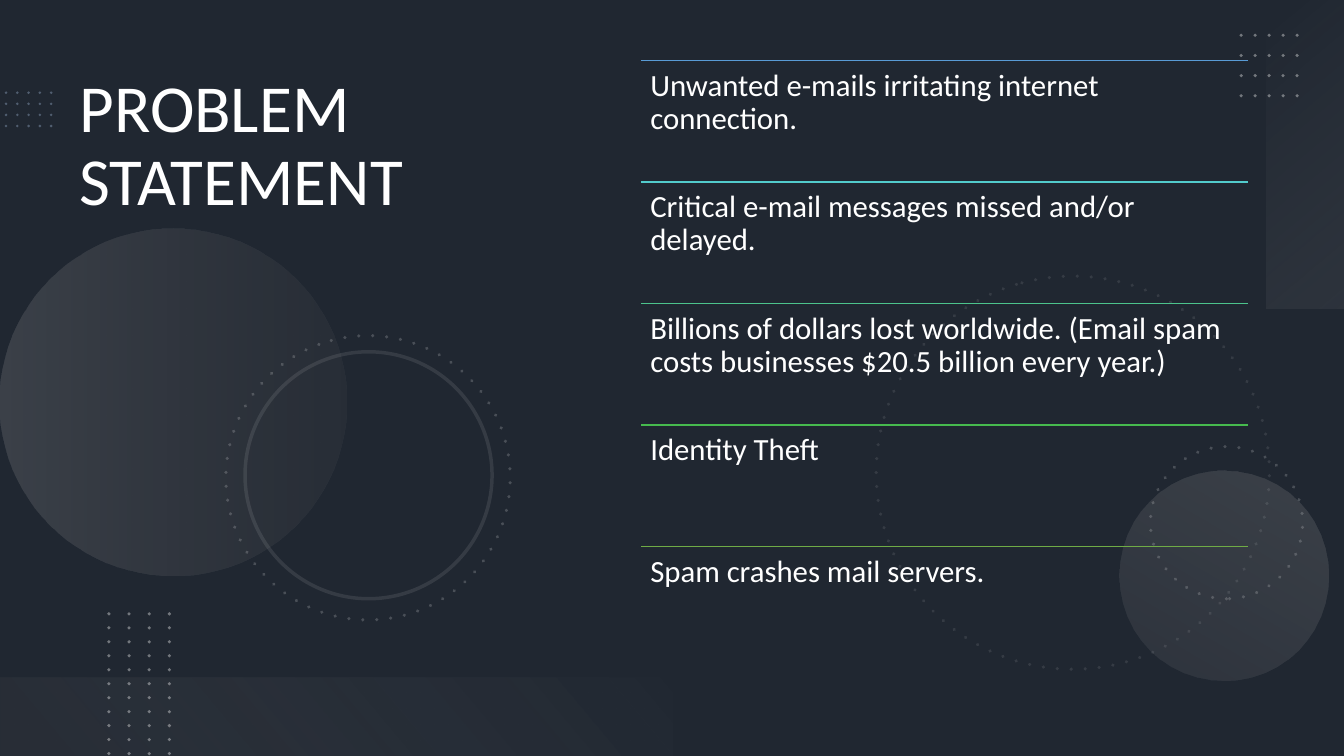
from lxml.etree import SubElement
from pptx import Presentation
from pptx.dml.color import RGBColor
from pptx.enum.dml import MSO_LINE
from pptx.enum.shapes import MSO_CONNECTOR, MSO_SHAPE
from pptx.enum.text import MSO_ANCHOR
from pptx.oxml.ns import qn
from pptx.util import Inches, Pt

RECT, OVAL = MSO_SHAPE.RECTANGLE, MSO_SHAPE.OVAL
LINE = MSO_CONNECTOR.STRAIGHT
DOT, SOLID = MSO_LINE.ROUND_DOT, MSO_LINE.SOLID
DOT = MSO_LINE.SQUARE_DOT if DOT is None else DOT
TOP = MSO_ANCHOR.TOP
SLATE = RGBColor(0x44, 0x54, 0x6A)
BLACK = RGBColor(0, 0, 0)
WHITE = RGBColor(0xFF, 0xFF, 0xFF)
PALE = RGBColor(0xEF, 0xEF, 0xEF)
MIST = RGBColor(0xF5, 0xF4, 0xF4)
GREY = RGBColor(0xAE, 0xAB, 0xAB)
DARK = RGBColor(0x75, 0x70, 0x70)
STEEL = RGBColor(0x82, 0x96, 0xB0)
BLUE = RGBColor(0x59, 0x9B, 0xD5)
CYAN = RGBColor(0x52, 0xCB, 0xCC)
TEAL = RGBColor(0x4C, 0xC3, 0x8C)
GREEN = RGBColor(0x46, 0xBA, 0x4E)
LIME = RGBColor(0x6F, 0xAB, 0x46)


def stroke(shape, color, width, alpha=100, dash=SOLID):
    """Style an outline; alpha is its opacity in percent."""
    shape.line.color.rgb = color
    shape.line.width = Pt(width)
    props = shape._element.spPr
    line = props.find(qn("a:ln"))
    if dash != SOLID:
        SubElement(line, qn("a:prstDash")).set("val", "dot")
        line.set("cap", "rnd")
    tint = line.find(".//" + qn("a:srgbClr"))
    SubElement(tint, qn("a:alpha")).set("val", str(alpha * 1000))
    if props.find(qn("a:effectLst")) is None:
        SubElement(props, qn("a:effectLst"))


def write(box, words, size, inset):
    frame = box.text_frame
    frame.word_wrap = True
    frame.vertical_anchor = TOP
    frame.margin_left = frame.margin_right = Inches(inset[0])
    frame.margin_top = frame.margin_bottom = Inches(inset[1])
    para = frame.paragraphs[0]
    para.line_spacing = 0.9
    run = para.add_run()
    run.text = words
    run.font.name = "Calibri"
    run.font.size = Pt(size)
    run.font.color.rgb = WHITE


deck = Presentation()
deck.slide_width, deck.slide_height = Inches(13.33), Inches(7.5)
slide = deck.slides.add_slide(deck.slide_layouts[6])
shapes = slide.shapes
slide.background.fill.solid()
slide.background.fill.fore_color.rgb = SLATE

# Dark veil over the background
veil = shapes.add_shape(RECT, 0, 0, deck.slide_width, deck.slide_height)
veil.shadow.inherit = False
veil.line.fill.background()
veil.fill.solid()
veil.fill.fore_color.rgb = BLACK
tint = veil._element.spPr.find(".//" + qn("a:srgbClr"))
SubElement(tint, qn("a:alpha")).set("val", "53000")

# Faded discs and panels: kind, box, turn, angle, stops (place, color, opacity)
fades = [
    (OVAL, (0, 2.27, 3.44, 3.44), 270, 90, [(0, GREY, 20), (100, DARK, 10)]),
    (OVAL, (11.1, 4.67, 2.08, 2.08), 210, 90, [(0, GREY, 10), (100, GREY, 20)]),
    (RECT, (11.42, 1.14, 3.06, 0.78), 270, 140, [(0, MIST, 0), (100, GREY, 10)]),
    (RECT, (0, 6.72, 6.67, 0.78), 180, 140,
     [(0, DARK, 10), (10, DARK, 10), (100, PALE, 0)]),
]
for kind, box, turn, angle, stops in fades:
    part = shapes.add_shape(kind, *map(Inches, box))
    part.shadow.inherit = False
    part.rotation = turn
    part.line.fill.background()
    part.fill.gradient()
    grad = part._element.spPr.find(qn("a:gradFill"))
    grad.find(qn("a:lin")).set("ang", str(angle * 60000))
    ramp = grad.find(qn("a:gsLst"))
    for old in list(ramp):
        ramp.remove(old)
    for place, color, alpha in stops:
        stop = SubElement(ramp, qn("a:gs"))
        stop.set("pos", str(place * 1000))
        tint = SubElement(stop, qn("a:srgbClr"))
        tint.set("val", str(color))
        SubElement(tint, qn("a:alpha")).set("val", str(alpha * 1000))

# Rings: left, top, size, turn, opacity, dash
rings = [
    (8.69, 2.74, 3.9, 75, 10, DOT),
    (11.41, 4.43, 1.51, 270, 20, DOT),
    (2.24, 3.33, 2.82, 75, 20, DOT),
    (2.43, 3.49, 2.45, 75, 10, SOLID),
]
for left, top, size, turn, alpha, dash in rings:
    ring = shapes.add_shape(OVAL, *map(Inches, (left, top, size, size)))
    ring.shadow.inherit = False
    ring.rotation = turn
    ring.fill.background()
    stroke(ring, PALE, 2.5, alpha, dash)

# Dot grids: first line (x, y, run, rise), step (x, y), color, width, opacity
grids = [
    ((0.06, 0.92, 0.47, 0), (0, 0.11), STEEL, 2, 50),
    ((12.31, 0.35, 0.6, 0), (0, 0.2), PALE, 2.5, 40),
    ((1.08, 6.09, 0, 1.41), (0.2, 0), PALE, 2.5, 40),
]
for (left, top, wide, high), (dx, dy), color, width, alpha in grids:
    for i in range(4):
        x, y = left + i * dx, top + i * dy
        dots = shapes.add_connector(LINE, *map(Inches, (x, y, x + wide, y + high)))
        stroke(dots, color, width, alpha, DOT)

title = shapes.add_textbox(*map(Inches, (0.69, 0.69, 5.41, 6.03)))
write(title, "PROBLEM STATEMENT", 48, (0.1, 0.05))

# Ruled list of problems
items = [
    ("Unwanted e-mails irritating internet connection.", BLUE),
    ("Critical e-mail messages missed and/or delayed.", CYAN),
    ("Billions of dollars lost worldwide. (Email spam costs businesses "
     "$20.5 billion every year.)", TEAL),
    ("Identity Theft", GREEN),
    ("Spam crashes mail servers.", LIME),
]
LEFT, WIDE, STEP = 6.36, 6.02, 1.205
for i, (words, color) in enumerate(items):
    y = 0.6 + i * STEP
    rule = shapes.add_connector(LINE, *map(Inches, (LEFT, y, LEFT + WIDE, y)))
    stroke(rule, color, 1)
    box = shapes.add_textbox(*map(Inches, (LEFT, y, WIDE, STEP)))
    write(box, words, 22, (0.09, 0.09))

deck.save("out.pptx")
